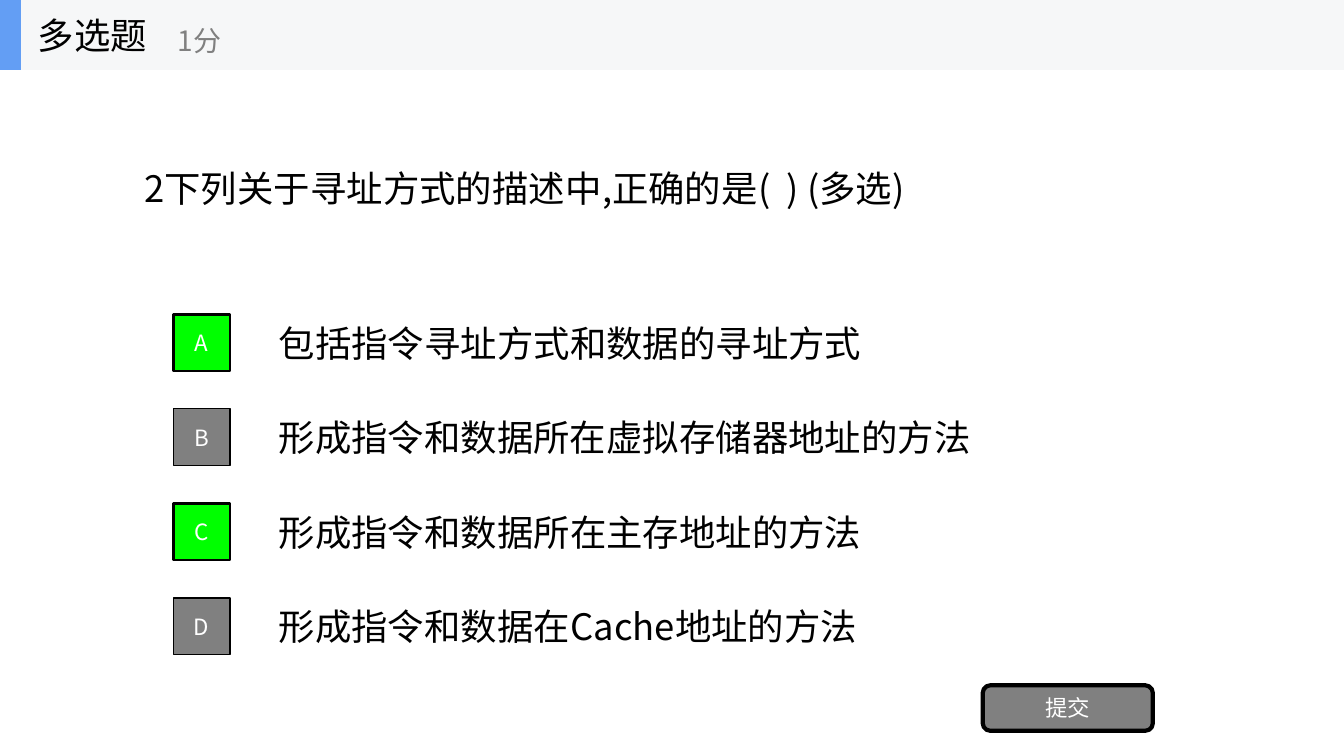
from lxml.etree import SubElement
from pptx import Presentation
from pptx.dml.color import RGBColor
from pptx.enum.shapes import MSO_SHAPE
from pptx.enum.text import MSO_ANCHOR, MSO_AUTO_SIZE, PP_ALIGN
from pptx.oxml.ns import qn
from pptx.util import Pt

BLACK, WHITE, GRAY = "000000", "FFFFFF", "808080"
GREEN, PALE, BLUE = "00FF00", "F6F7F8", "639EF4"

OPTIONS = [
    ("A", "包括指令寻址方式和数据的寻址方式", 438.5, True),
    ("B", "形成指令和数据所在虚拟存储器地址的方法", 516.25, False),
    ("C", "形成指令和数据所在主存地址的方法", 438.5, True),
    ("D", "形成指令和数据在Cache地址的方法", 435.5, False),
]
FIRST_ROW, ROW_STEP = 224.5, 67.5
BADGE = 40.5
LINE_HEIGHT = 38.25


def rgb(value):
    return RGBColor.from_string(value)


def write(shape, text, size=26, color=BLACK, align=PP_ALIGN.LEFT,
          wrap=True, grow=False, font="Noto Sans CJK SC"):
    frame = shape.text_frame
    frame.word_wrap = wrap
    frame.auto_size = MSO_AUTO_SIZE.SHAPE_TO_FIT_TEXT if grow else MSO_AUTO_SIZE.NONE
    frame.vertical_anchor = MSO_ANCHOR.MIDDLE
    paragraph = frame.paragraphs[0]
    paragraph.alignment = align
    run = paragraph.add_run()
    run.text = text
    run.font.size = Pt(size)
    run.font.color.rgb = rgb(color)
    run.font.name = font
    east_asian = SubElement(run.font._element, qn("a:ea"))
    east_asian.set("typeface", font)


class QuizSlide:
    def __init__(self, slide):
        self.slide = slide
        self.shapes = slide.shapes

    def start_group(self):
        """Send the elements that follow into a new group."""
        self.shapes = self.slide.shapes.add_group_shape().shapes

    def label(self, text, left, top, width, height, **style):
        box = self.shapes.add_textbox(Pt(left), Pt(top), Pt(width), Pt(height))
        write(box, text, **style)

    def block(self, left, top, width, height, fill, kind=MSO_SHAPE.RECTANGLE):
        shape = self.shapes.add_shape(kind, Pt(left), Pt(top), Pt(width), Pt(height))
        shape.shadow.inherit = False
        shape.fill.solid()
        shape.fill.fore_color.rgb = rgb(fill)
        shape.line.fill.background()
        return shape

    def button(self, text, left, top, width, height, fill, border, **kind):
        shape = self.block(left, top, width, height, fill, **kind)
        shape.line.color.rgb = rgb(BLACK)
        shape.line.width = Pt(border)
        write(shape, text, size=16, color=WHITE, align=PP_ALIGN.CENTER)


def main():
    deck = Presentation()
    deck.slide_width, deck.slide_height = Pt(960), Pt(540)
    quiz = QuizSlide(deck.slides.add_slide(deck.slide_layouts[6]))

    quiz.label("2下列关于寻址方式的描述中,正确的是(  ) (多选)",
               96, 115.2, 569.5, LINE_HEIGHT, grow=True)

    for row, (letter, answer, width, correct) in enumerate(OPTIONS):
        top = FIRST_ROW + row * ROW_STEP
        quiz.label(answer, 192, top + 1, width, LINE_HEIGHT, grow=True)
        quiz.button(letter, 123.75, top, BADGE, BADGE,
                    GREEN if correct else GRAY, 2 if correct else 1)

    quiz.button("提交", 702, 489.5, 121.5, 32.5, GRAY, 3,
                kind=MSO_SHAPE.ROUNDED_RECTANGLE)

    quiz.start_group()
    quiz.block(0, 0, 960, 50, PALE)
    quiz.block(0, 0, 15, 50, BLUE)
    quiz.label("多选题", 20, 0, 150, 50, wrap=False)
    quiz.label("1分", 120, 9, 180, 40, size=20, color=GRAY, wrap=False)

    deck.save("out.pptx")


if __name__ == "__main__":
    main()
